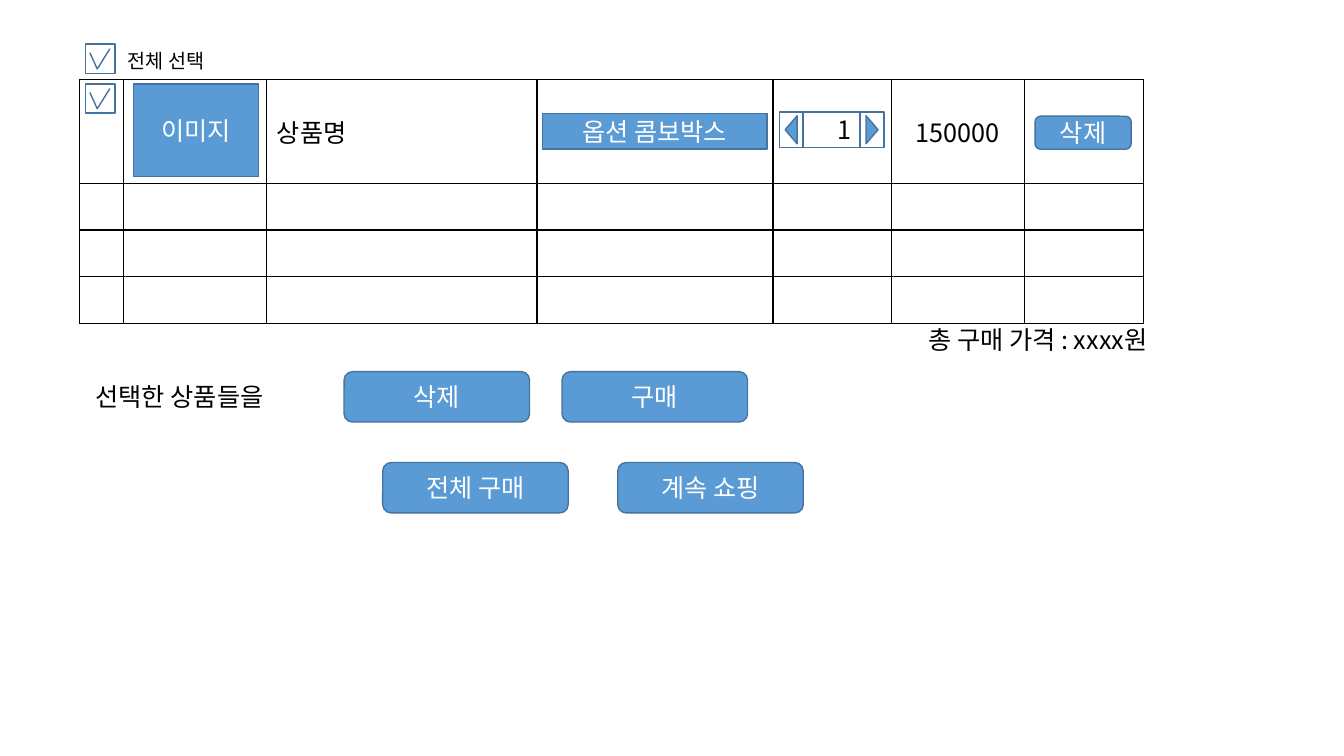
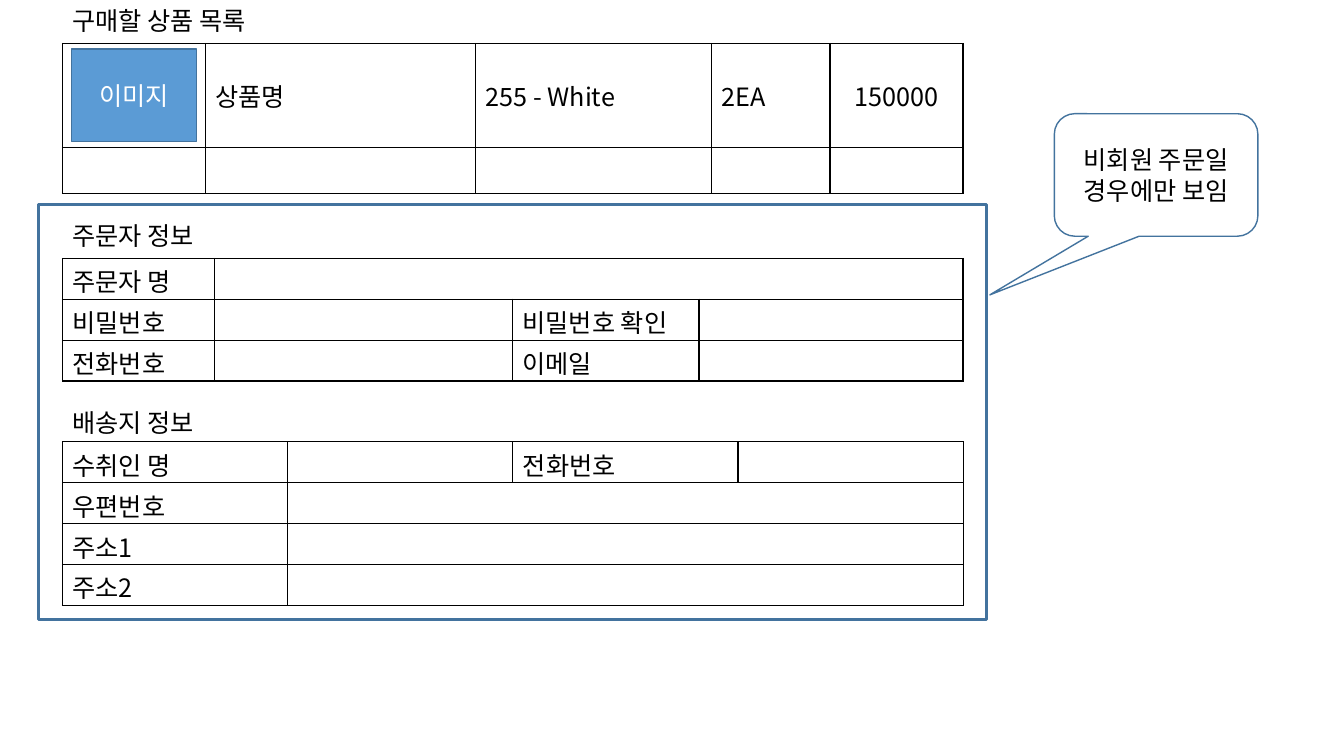
from pptx import Presentation
from pptx.dml.color import RGBColor
from pptx.enum.shapes import MSO_SHAPE
from pptx.enum.text import MSO_ANCHOR, MSO_AUTO_SIZE, PP_ALIGN
from pptx.oxml.ns import qn
from pptx.util import Pt
from lxml.etree import SubElement, fromstring

BLACK, WHITE, BLUE, EDGE = "000000", "FFFFFF", "5B9BD5", "43739E"
FONT = "Noto Sans CJK KR"
LEFT, CENTER, RIGHT = PP_ALIGN.LEFT, PP_ALIGN.CENTER, PP_ALIGN.RIGHT
NAMESPACE = "http://schemas.openxmlformats.org/drawingml/2006/main"
PRODUCT_COLUMNS = [102.2, 193, 168.6, 84.6, 95]
PRODUCT_ROW, EMPTY_ROW, FORM_ROW = 74.2, 33.3, 29.2
FORM_MARGINS = {"margin_top": Pt(3), "margin_bottom": 0}
MIDDLE = {"vertical_anchor": MSO_ANCHOR.MIDDLE}


def color(value):
    return RGBColor.from_string(value)


def apply(target, values):
    for name, value in values.items():
        setattr(target, name, value)


class Wireframe:
    """Draws shop wireframe elements on the current slide."""

    def __init__(self):
        self.deck = Presentation()
        apply(self.deck, {"slide_width": Pt(960), "slide_height": Pt(540)})

    def new_slide(self):
        self.slide = self.deck.slides.add_slide(self.deck.slide_layouts[6])

    def wording(self, frame, words, ink=BLACK, align=LEFT, size=18):
        paragraph = frame.paragraphs[0]
        paragraph.alignment = align
        run = paragraph.add_run()
        run.text = words
        apply(run.font, {"size": Pt(size), "name": FONT})
        run.font.color.rgb = color(ink)
        SubElement(run._r.get_or_add_rPr(), qn("a:ea"), typeface=FONT)

    def outline(self, shape, fill, weight=1):
        shape.shadow.inherit = False
        shape.line.color.rgb = color(EDGE)
        shape.line.width = Pt(weight)
        if fill:
            shape.fill.solid()
            shape.fill.fore_color.rgb = color(fill)
        else:
            shape.fill.background()

    def box(self, bounds, words="", kind=MSO_SHAPE.RECTANGLE, fill=BLUE,
            ink=WHITE, align=CENTER, weight=1, turn=0):
        shape = self.slide.shapes.add_shape(kind, *map(Pt, bounds))
        self.outline(shape, fill, weight)
        shape.rotation = turn
        if words:
            apply(shape.text_frame, {"word_wrap": True, **MIDDLE})
            self.wording(shape.text_frame, words, ink, align)
        return shape

    def button(self, bounds, words):
        self.box(bounds, words, MSO_SHAPE.ROUNDED_RECTANGLE)

    def checkbox(self, left, top):
        self.box((left, top, 20.9, 20.9), fill=WHITE)
        tick = self.slide.shapes.build_freeform(Pt(left + 3), Pt(top + 6.2))
        tick.add_line_segments(
            [(Pt(left + 8.3), Pt(top + 17.8)), (Pt(left + 17.3), Pt(top + 3.4))],
            close=False)
        self.outline(tick.convert_to_shape(), None)

    def stepper(self, left, top):
        width, height, value_width = 17, 25.4, 41.6
        self.box((left + width, top, value_width, height), "1",
                 fill=WHITE, ink=BLACK, align=RIGHT)
        for side, turn in ((left, 270), (left + width + value_width - 0.8, 90)):
            self.box((side, top, width, height), fill=WHITE)
            self.box((side + width / 2 - 10, top + height / 2 - 4.3, 20, 8.6),
                     kind=MSO_SHAPE.ISOSCELES_TRIANGLE, turn=turn)

    def text(self, bounds, words, align=LEFT, size=18, wrap=False):
        label = self.slide.shapes.add_textbox(*map(Pt, bounds)).text_frame
        apply(label, {"word_wrap": wrap, "auto_size": MSO_AUTO_SIZE.SHAPE_TO_FIT_TEXT})
        self.wording(label, words, align=align, size=size)

    def table(self, left, top, columns, rows, entries, merged=(), cell_format=MIDDLE):
        bounds = (left, top, sum(columns), sum(rows))
        grid = self.slide.shapes.add_table(
            len(rows), len(columns), *map(Pt, bounds)).table
        apply(grid, {"first_row": False, "horz_banding": False})
        for column, width in zip(grid.columns, columns):
            column.width = Pt(width)
        for row, height in zip(grid.rows, rows):
            row.height = Pt(height)
        for cell in grid.iter_cells():
            apply(cell, cell_format)
            cell.fill.background()
            self.borders(cell)
        for row in merged:
            grid.cell(row, 1).merge(grid.cell(row, len(columns) - 1))
        for (row, column), words in entries.items():
            align = CENTER if words.isdigit() else LEFT
            self.wording(grid.cell(row, column).text_frame, words, align=align)

    def borders(self, cell):
        properties = cell._tc.get_or_add_tcPr()
        for place, side in enumerate("LRTB"):
            properties.insert(place, fromstring(
                f'<a:ln{side} xmlns:a="{NAMESPACE}" w="12700"><a:solidFill>'
                f'<a:srgbClr val="{BLACK}"/></a:solidFill></a:ln{side}>'))


def cart(page):
    page.new_slide()
    page.table(56.9, 56.9, [31.5, *PRODUCT_COLUMNS, 85],
               [PRODUCT_ROW] + [EMPTY_ROW] * 3,
               {(0, 2): "상품명", (0, 5): "150000"})
    page.checkbox(61.2, 59.9)
    page.box((95.5, 60, 89.3, 66.2), "이미지")
    page.box((387.4, 81.2, 160.6, 25.4), "옵션 콤보박스")
    page.stepper(556.6, 80)
    page.button((739.4, 83, 68.6, 23.6), "삭제")
    page.checkbox(61.2, 31.5)
    page.text((84.2, 31.5, 76.3, 24.2), "전체 선택", size=14)
    page.text((427, 228.2, 399.6, 29), "총 구매 가격 : xxxx원", RIGHT, wrap=True)
    page.text((61.2, 268.6, 166.3, 29), "선택한 상품들을", wrap=True)
    for left, top, action in ((245.8, 265.5, "삭제"), (401.5, 265.5, "구매"),
                              (273.4, 330.4, "전체 구매"), (441.3, 330.4, "계속 쇼핑")):
        page.button((left, top, 132.5, 36), action)


def order(page):
    page.new_slide()
    margin, total = 44.6, sum(PRODUCT_COLUMNS)
    page.table(margin, 31, PRODUCT_COLUMNS, [PRODUCT_ROW, EMPTY_ROW],
               {(0, 1): "상품명", (0, 2): "255 - White", (0, 3): "2EA", (0, 4): "150000"})
    page.box((51.1, 35, 89.3, 66.2), "이미지")
    for top, width, heading in ((0, 154.8, "구매할 상품 목록"),
                                (154, 111.6, "주문자 정보"),
                                (287.3, 111.6, "배송지 정보")):
        page.text((margin, top, width, 29), heading)
    page.table(margin, 184.6, [108.6, 212.9, 133.2, 188.7], [FORM_ROW] * 3,
               {(0, 0): "주문자 명", (1, 0): "비밀번호", (1, 2): "비밀번호 확인",
                (2, 0): "전화번호", (2, 2): "이메일"}, [0], FORM_MARGINS)
    page.box((27.4, 146.2, 677.5, 296.6), fill=None, weight=2.25)
    note = page.box((753.1, 81.2, 145.4, 87.5), "비회원 주문일 경우에만 보임",
                    MSO_SHAPE.ROUNDED_RECTANGULAR_CALLOUT, WHITE, BLACK)
    for place, value in enumerate((-0.817, 0.979, 0.167)):
        note.adjustments[place] = value
    page.table(margin, 315.6, [total / 4] * 4, [FORM_ROW] * 4,
               {(0, 0): "수취인 명", (0, 2): "전화번호", (1, 0): "우편번호",
                (2, 0): "주소1", (3, 0): "주소2"}, [1, 2, 3], FORM_MARGINS)


shop = Wireframe()
cart(shop)
order(shop)
shop.deck.save("out.pptx")
